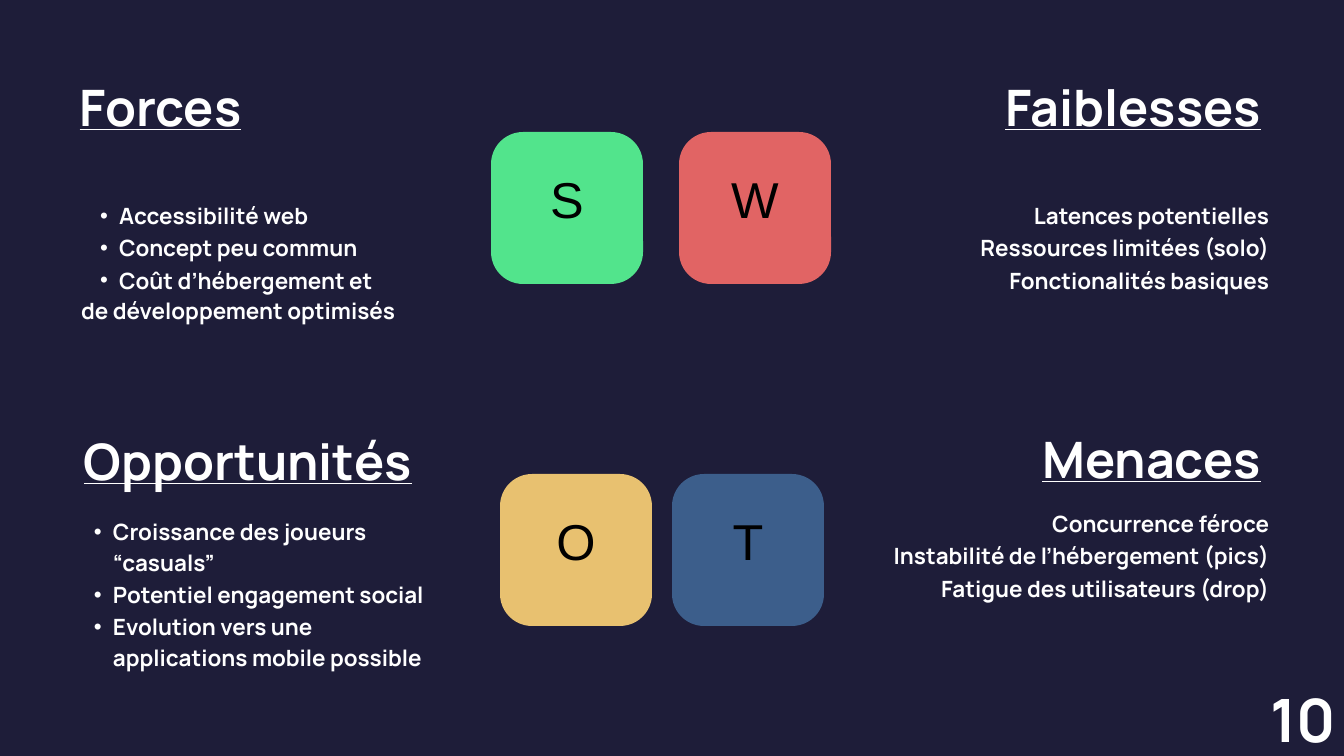
from lxml.etree import SubElement
from pptx import Presentation
from pptx.dml.color import RGBColor
from pptx.enum.shapes import MSO_SHAPE
from pptx.enum.text import MSO_ANCHOR, PP_ALIGN
from pptx.oxml.ns import qn
from pptx.util import Pt

SCALE = 914400 / 67.2
WIDTH, HEIGHT = 1344, 756
BACKGROUND, WHITE, BLACK = "1E1D39", "FFFFFF", "000000"
FONT, LETTER_FONT = "Manrope", "Arial"
CARD_SIZE, CARD_RADIUS, LETTER_LIFT = 152, 32, 29
BULLET_MARGIN, BULLET_HANG = 38, 19
ITEM_GAP = 1.5

CARDS = [
    ("S", 491, 132, "52E48C"),
    ("W", 679, 132, "E16464"),
    ("T", 672, 474, "3C5E8B"),
    ("O", 500, 474, "E8C170"),
]
HEADINGS = [
    ("Forces", 75, 67, 171),
    ("Faiblesses", 997, 67, 272),
    ("Opportunités", 75, 421, 346),
    ("Menaces", 1034, 419, 235),
]
BULLET_LISTS = [
    (81, 198, 371, 127,
     ["Accessibilité web", "Concept peu commun", "Coût d’hébergement et"],
     "de développement optimisés"),
    (75, 514, 376, 157,
     ["Croissance des joueurs “casuals”", "Potentiel engagement social",
      "Evolution vers une applications mobile possible"],
     None),
]
RIGHT_LISTS = [
    (852, 198, 417, 95,
     ["Latences potentielles", "Ressources limitées (solo)", "Fonctionalités basiques"]),
    (852, 506, 417, 95,
     ["Concurrence féroce", "Instabilité de l’hébergement (pics)",
      "Fatigue des utilisateurs (drop)"]),
]
PAGE_NUMBER = ("10", 1263, 672, 81)


def px(length):
    """Turn pixels into EMU."""
    return round(length * SCALE)


def color(value):
    """Turn a hex string into a colour."""
    return RGBColor.from_string(value)


def format_paragraph(paragraph, size, spacing, align, ink=WHITE, font=FONT, bold=True):
    """Set the alignment, line spacing and font of a paragraph."""
    paragraph.alignment = align
    paragraph.line_spacing = Pt(spacing)
    for run in paragraph.runs:
        run.font.name = font
        run.font.size = Pt(size)
        run.font.bold = bold
        run.font.color.rgb = color(ink)


def add_bullet(paragraph):
    """Give a paragraph a hanging bullet."""
    paragraph.level = 1
    properties = paragraph._p.get_or_add_pPr()
    properties.set("marL", str(px(BULLET_MARGIN)))
    properties.set("indent", str(-px(BULLET_HANG)))
    SubElement(properties, qn("a:buFont")).set("typeface", "Arial")
    SubElement(properties, qn("a:buChar")).set("char", "•")


def add_text(slide, left, top, width, height, lines):
    """Add a text box without margins, one paragraph per line."""
    box = slide.shapes.add_textbox(px(left), px(top), px(width), px(height))
    frame = box.text_frame
    frame.word_wrap = True
    frame.margin_left = frame.margin_right = frame.margin_top = frame.margin_bottom = 0
    frame.text = "\n".join(lines)
    return frame.paragraphs


def add_card(slide, letter, left, top, fill):
    """Add a rounded card with its letter slightly above the centre."""
    card = slide.shapes.add_shape(
        MSO_SHAPE.ROUNDED_RECTANGLE, px(left), px(top), px(CARD_SIZE), px(CARD_SIZE))
    card.adjustments[0] = CARD_RADIUS / CARD_SIZE
    card.shadow.inherit = False
    card.fill.solid()
    card.fill.fore_color.rgb = color(fill)
    card.line.fill.background()
    frame = card.text_frame
    frame.vertical_anchor = MSO_ANCHOR.MIDDLE
    frame.margin_left = frame.margin_right = frame.margin_top = 0
    frame.margin_bottom = px(LETTER_LIFT)
    frame.text = letter
    format_paragraph(frame.paragraphs[0], 54, 74.5, PP_ALIGN.CENTER, BLACK, LETTER_FONT, False)


def add_heading(slide, title, left, top, width):
    """Add an underlined quadrant heading."""
    paragraph = add_text(slide, left, top, width, 69, [title])[0]
    format_paragraph(paragraph, 53.8, 74.3, PP_ALIGN.CENTER)
    paragraph.runs[0].font.underline = True


def add_list(slide, left, top, width, height, items, align, bulleted=False, closing=None):
    """Add a list, with an optional closing line that has no bullet."""
    lines = items + [closing] if closing else items
    for index, paragraph in enumerate(add_text(slide, left, top, width, height, lines)):
        is_item = index < len(items)
        if is_item and index:
            paragraph.space_before = Pt(ITEM_GAP)
        if is_item and bulleted:
            add_bullet(paragraph)
        format_paragraph(paragraph, 24, 33.1, align)


def main():
    """Build the SWOT slide."""
    presentation = Presentation()
    presentation.slide_width, presentation.slide_height = px(WIDTH), px(HEIGHT)
    slide = presentation.slides.add_slide(presentation.slide_layouts[6])
    slide.background.fill.solid()
    slide.background.fill.fore_color.rgb = color(BACKGROUND)
    for card in CARDS:
        add_card(slide, *card)
    for heading in HEADINGS:
        add_heading(slide, *heading)
    for *place, items, closing in BULLET_LISTS:
        add_list(slide, *place, items, PP_ALIGN.LEFT, True, closing)
    for *place, items in RIGHT_LISTS:
        add_list(slide, *place, items, PP_ALIGN.RIGHT)
    number, left, top, width = PAGE_NUMBER
    paragraph = add_text(slide, left, top, width, HEIGHT - top, [number])[0]
    format_paragraph(paragraph, 64, 88.3, PP_ALIGN.CENTER)
    presentation.save("out.pptx")


if __name__ == "__main__":
    main()
